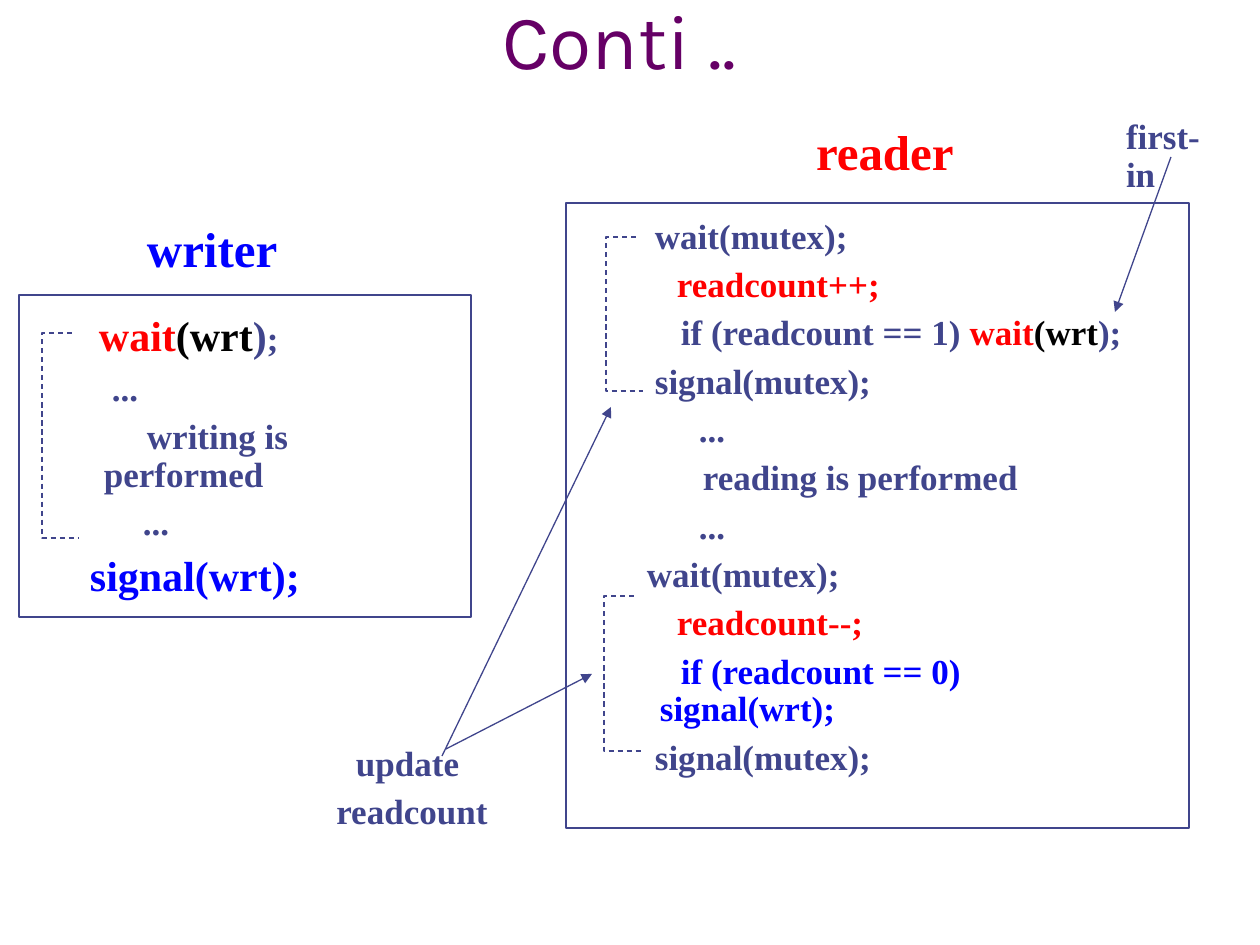
import pptx
import pptx.util
import pptx.dml.color
import pptx.enum.dml
import pptx.enum.shapes
import pptx.enum.text
import pptx.oxml
import pptx.oxml.ns

PX = 914400 / 126
ALIGN = pptx.enum.text.PP_ALIGN
THEME = {
    "ink": "40458C", "red": "FF0000", "blue": "0000FF", "black": "000000", "title": "660066",
    "body_font": "Times New Roman", "title_font": "Karla",
    "code": 20, "call": 24, "heading": 28, "title_size": 44,
    "frame_line": 1, "thin_line": 0.75, "line_spacing": 0.9, "space_before": 0.3,
}
HANGING = 40

# A span is (text, colour, size); a paragraph is (first-line offset in px, spans).
TITLE = "Conti .."
READER = [
    (35, [("wait(mutex);", "ink", "code")]),
    (57, [("readcount++;", "red", "code")]),
    (61, [("if (readcount == 1) ", "ink", "code"), ("wait", "red", "code"),
          ("(wrt", "black", "code"), (");", "ink", "code")]),
    (35, [("signal(mutex);", "ink", "code")]),
    (79, [("...", "ink", "code")]),
    (83, [("reading is performed", "ink", "code")]),
    (79, [("...", "ink", "code")]),
    (27, [("wait(mutex);", "ink", "code")]),
    (57, [("readcount--;", "red", "code")]),
    (61, [("if (readcount == 0) signal(wrt);", "blue", "code")]),
    (35, [("signal(mutex);", "ink", "code")]),
]
WRITER = [
    (35, [("wait", "red", "call"), ("(wrt", "black", "call"),
          (")", "ink", "call"), (";", "ink", "code")]),
    (48, [("...", "ink", "code")]),
    (83, [("writing is performed", "ink", "code")]),
    (79, [("...", "ink", "code")]),
    (26, [("signal(wrt);", "blue", "call")]),
]
UPDATE = [(0, [("update ", "ink", "code")]), (0, [("readcount", "ink", "code")])]

FRAMES = [(566, 203, 623, 625), (19, 295, 452, 322)]
# Text area (left, top, width, height), paragraphs, hanging margin, alignment
TEXTS = [
    ((620, 219, 515, 545), READER, HANGING, ALIGN.LEFT),
    ((64, 315, 380, 290), WRITER, HANGING, ALIGN.LEFT),
    ((147, 225, 140, 54), [(0, [("writer", "blue", "heading")])], 0, ALIGN.LEFT),
    ((816, 128, 145, 54), [(0, [("reader", "red", "heading")])], 0, ALIGN.LEFT),
    ((324, 746, 176, 88), UPDATE, 0, ALIGN.CENTER),
    ((1126, 119, 95, 76), [(0, [("first-in", "ink", "code")])], 0, ALIGN.LEFT),
]
BRACKETS = [(42, 333, 538), (606, 237, 391), (604, 596, 751)]  # left, top, bottom
UPPER_ARM, LOWER_ARM = 30, 37
ARROWS = [((446, 749), (592, 674)), ((1171, 157), (1115, 312)), ((442, 756), (611, 407))]


def emu(*lengths):
    return [round(length * PX) for length in lengths]


def colour(name):
    return pptx.dml.color.RGBColor.from_string(THEME[name])


def apply(target, values):
    for name, value in values.items():
        setattr(target, name, value)


def style_font(font, family, size, ink, bold):
    apply(font, {"name": THEME[family], "size": pptx.util.Pt(THEME[size]), "bold": bold})
    font.color.rgb = colour(ink)


def style_line(line, width):
    line.color.rgb = colour("ink")
    line.width = pptx.util.Pt(THEME[width])


def add_title(page):
    title = page.shapes.title
    apply(title, dict(zip(("left", "top", "width", "height"), emu(84, 42, 1071, 49))))
    frame = title.text_frame
    apply(frame, {"word_wrap": True, "auto_size": pptx.enum.text.MSO_AUTO_SIZE.NONE,
                  "vertical_anchor": pptx.enum.text.MSO_ANCHOR.BOTTOM})
    para = frame.paragraphs[0]
    para.alignment = ALIGN.CENTER
    span = para.add_run()
    span.text = TITLE
    style_font(span.font, "title_font", "title_size", "title", False)


def add_text(page, area, paragraphs, margin, alignment):
    frame = page.shapes.add_textbox(*emu(*area)).text_frame
    apply(frame, {"word_wrap": True, "margin_left": 0, "margin_top": 0,
                  "margin_right": 0, "margin_bottom": 0})
    for index, (offset, spans) in enumerate(paragraphs):
        para = frame.add_paragraph() if index else frame.paragraphs[0]
        largest = max(THEME[size] for _, _, size in spans)
        before = THEME["space_before"] * largest if index else 0
        apply(para, {"alignment": alignment, "line_spacing": THEME["line_spacing"],
                     "space_before": pptx.util.Pt(before)})
        if margin:
            left, indent = emu(margin, offset - margin)
            properties = para._p.get_or_add_pPr()
            properties.set("marL", str(left))
            properties.set("indent", str(indent))
        for text, ink, size in spans:
            span = para.add_run()
            span.text = text
            style_font(span.font, "body_font", size, ink, True)


def add_frame(page, area):
    frame = page.shapes.add_shape(pptx.enum.shapes.MSO_SHAPE.RECTANGLE, *emu(*area))
    frame.shadow.inherit = False
    frame.fill.background()
    style_line(frame.line, "frame_line")


def add_bracket(page, left, top, bottom):
    builder = page.shapes.build_freeform(left + UPPER_ARM, top, scale=PX)
    builder.add_line_segments([(left, top), (left, bottom), (left + LOWER_ARM, bottom)],
                              close=False)
    bracket = builder.convert_to_shape()
    bracket.shadow.inherit = False
    bracket.fill.background()
    style_line(bracket.line, "thin_line")
    bracket.line.dash_style = pptx.enum.dml.MSO_LINE.DASH


def add_arrow(page, start, end):
    arrow = page.shapes.add_connector(pptx.enum.shapes.MSO_CONNECTOR.STRAIGHT,
                                      *emu(*start, *end))
    style_line(arrow.line, "thin_line")
    head = pptx.oxml.parse_xml(
        f'<a:tailEnd {pptx.oxml.ns.nsdecls("a")} type="triangle"/>')
    arrow.line._get_or_add_ln().append(head)
    arrow._element.spPr.append(
        pptx.oxml.parse_xml(f'<a:effectLst {pptx.oxml.ns.nsdecls("a")}/>'))


def main():
    deck = pptx.Presentation()
    apply(deck, dict(zip(("slide_width", "slide_height"), emu(1260, 945))))
    page = deck.slides.add_slide(deck.slide_layouts[5])
    add_title(page)
    for area in FRAMES:
        add_frame(page, area)
    for text in TEXTS:
        add_text(page, *text)
    for bracket in BRACKETS:
        add_bracket(page, *bracket)
    for arrow in ARROWS:
        add_arrow(page, *arrow)
    deck.save("out.pptx")


if __name__ == "__main__":
    main()
